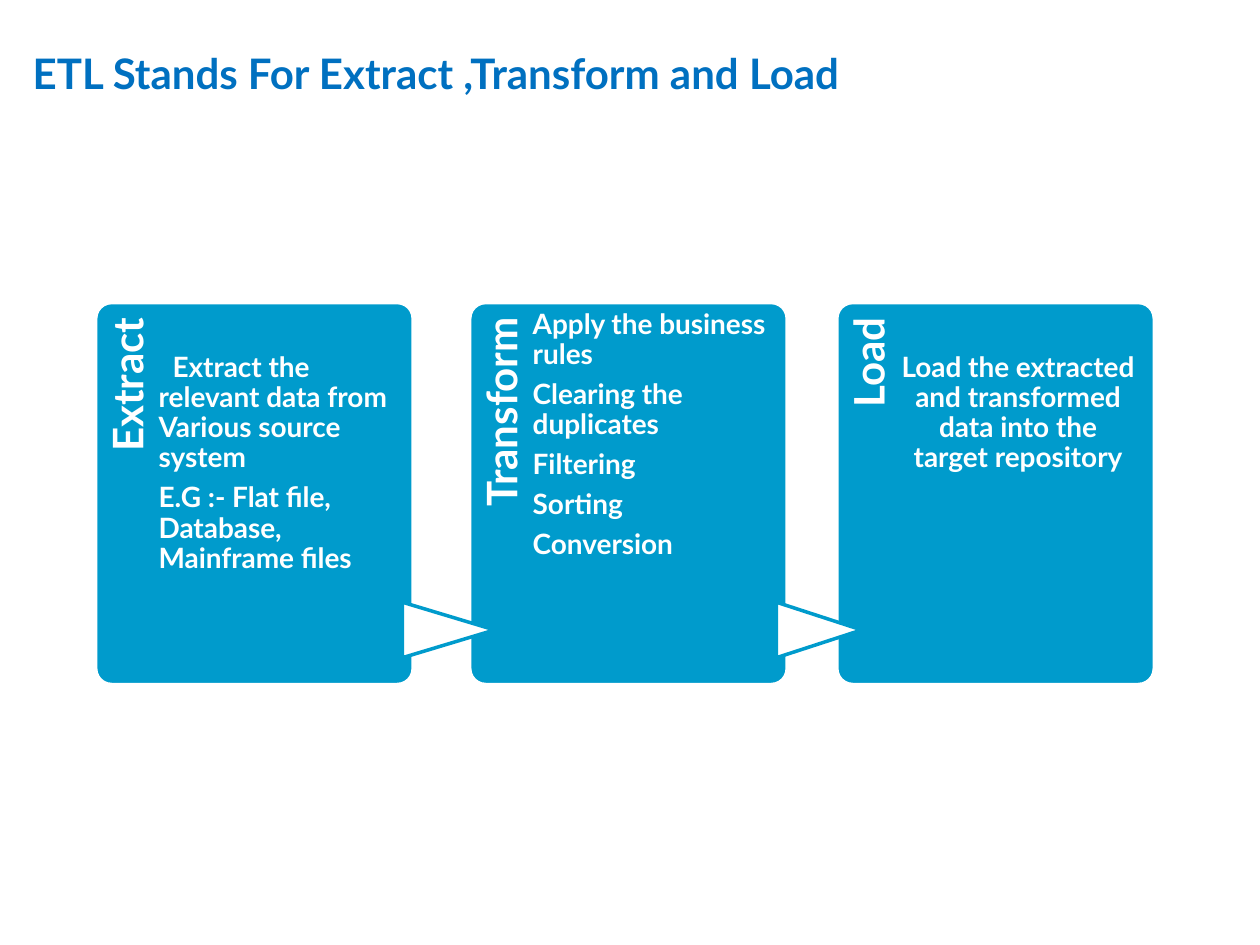
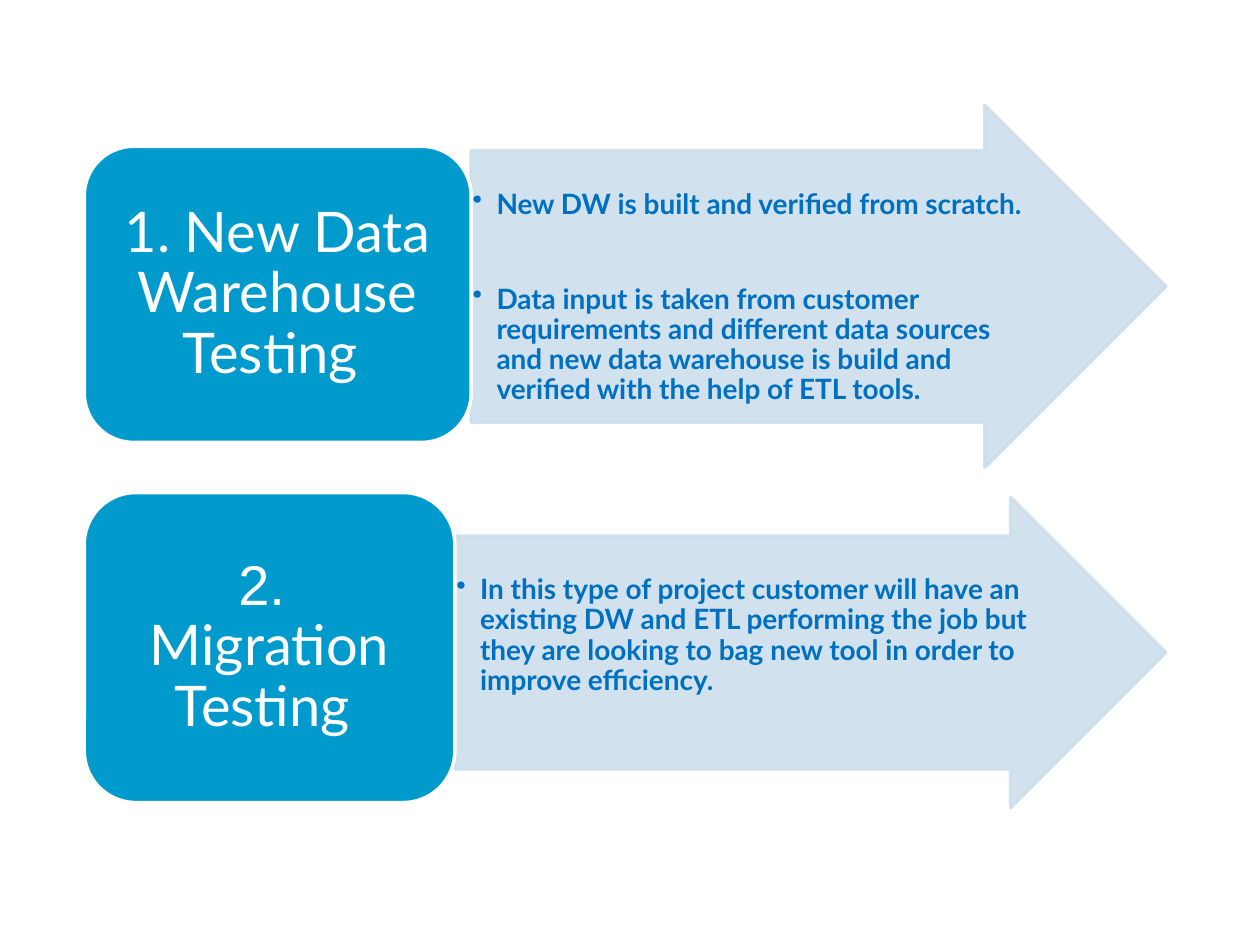
from lxml import etree
from pptx import Presentation
from pptx.dml.color import RGBColor
from pptx.enum.shapes import MSO_SHAPE
from pptx.enum.text import MSO_ANCHOR, PP_ALIGN
from pptx.oxml.ns import qn
from pptx.util import Cm, Pt

LEFT, CENTER, RIGHT = PP_ALIGN.LEFT, PP_ALIGN.CENTER, PP_ALIGN.RIGHT
TOP, MIDDLE, BOTTOM = MSO_ANCHOR.TOP, MSO_ANCHOR.MIDDLE, MSO_ANCHOR.BOTTOM
ROUNDED = MSO_SHAPE.ROUNDED_RECTANGLE
TRIANGLE = MSO_SHAPE.FLOWCHART_EXTRACT
RIGHT_ARROW = MSO_SHAPE.RIGHT_ARROW

WHITE = RGBColor(0xFF, 0xFF, 0xFF)
BLUE = RGBColor(0x00, 0x70, 0xC0)
CYAN = RGBColor(0x00, 0x9B, 0xCC)
PALE = RGBColor(0xCC, 0xDE, 0xEC)
FONT = "Lato"

PANEL_TOP, PANEL_WIDTH, PANEL_HEIGHT = 6.1, 6.4, 7.7
STRIP_WIDTH, STRIP_LENGTH = 1.27, 6.3
POINTER_CENTER, POINTER_HEIGHT = 12.7, 1.12
BLOCK_LEFT, ARROW_RIGHT = 1.7, 23.5

# left edge, label, body paragraphs, body format
STAGES = [
    (1.93, "Extract",
     ["Extract the relevant data from Various source system",
      "E.G :- Flat file, Database, Mainframe files"],
     dict(insets=(0, 1.02, 0, 0), first_indent=0.28)),
    (9.47, "Transform",
     ["Apply the business rules", "Clearing the duplicates",
      "Filtering", "Sorting", "Conversion"],
     dict(insets=(0, 0.15, 0, 0))),
    (16.87, "Load",
     ["Load the extracted and transformed data into the target repository"],
     dict(insets=(0, 1.02, 0, 0), align=CENTER)),
]

# block top and height, arrow left, top and height, block lines, bullets
PROJECT_TYPES = [
    (2.95, 5.97, 9.5, 2.13, 7.29,
     [("1. New Data Warehouse Testing ", FONT)],
     ["New DW is built and verified from scratch.",
      "Data input is taken from customer requirements and different data "
      "sources and new data warehouse is build and verified with the help "
      "of ETL tools."]),
    (9.93, 6.25, 9.17, 10.03, 6.25,
     [("2. ", "Arial"), ("Migration Testing ", FONT)],
     ["In this type of project customer will have an existing DW and ETL "
      "performing the job but they are looking to bag new tool in order to "
      "improve efficiency."]),
]


def write(frame, paragraphs, size=16, color=WHITE, bold=True, align=LEFT,
          anchor=TOP, insets=(0, 0, 0, 0), line_spacing=0.9, gap=5.6,
          first_indent=0, bullet=False):
    """Fill a frame; a paragraph is a string or a list of (line, font)."""
    frame.word_wrap = True
    frame.vertical_anchor = anchor
    (frame.margin_left, frame.margin_top,
     frame.margin_right, frame.margin_bottom) = map(Cm, insets)
    for index, lines in enumerate(paragraphs):
        paragraph = frame.add_paragraph() if index else frame.paragraphs[0]
        properties = paragraph._p.get_or_add_pPr()
        if bullet:
            properties.set("marL", str(Cm(0.48)))
            properties.set("indent", str(-Cm(0.48)))
            etree.SubElement(properties, qn("a:buChar")).set("char", "•")
        elif first_indent and not index:
            properties.set("indent", str(Cm(first_indent)))
        paragraph.alignment = align
        paragraph.line_spacing = line_spacing
        if index:
            paragraph.space_before = Pt(gap)
        if isinstance(lines, str):
            lines = [(lines, FONT)]
        for number, (line, font_name) in enumerate(lines):
            if number:
                paragraph.add_line_break()
            run = paragraph.add_run()
            run.text = line
            run.font.name = font_name
            run.font.size = Pt(size)
            run.font.bold = bold
            run.font.color.rgb = color


class Deck:
    def __init__(self):
        self.presentation = Presentation()
        self.presentation.slide_width = Cm(25.4)
        self.presentation.slide_height = Cm(19.05)
        self.slide = None

    def new_slide(self):
        blank = self.presentation.slide_layouts[6]
        self.slide = self.presentation.slides.add_slide(blank)

    def text(self, left, top, width, height, paragraphs, rotation=0, **style):
        box = self.slide.shapes.add_textbox(*map(Cm, (left, top, width, height)))
        box.rotation = rotation
        write(box.text_frame, paragraphs, **style)

    def shape(self, kind, left, top, width, height, fill, line,
              adjustments=(), rotation=0, opacity=None):
        shape = self.slide.shapes.add_shape(
            kind, *map(Cm, (left, top, width, height)))
        shape.shadow.inherit = False
        shape.rotation = rotation
        for index, value in enumerate(adjustments):
            shape.adjustments[index] = value
        shape.fill.solid()
        shape.fill.fore_color.rgb = fill
        shape.line.color.rgb = line
        shape.line.width = Pt(2)
        if opacity is not None:
            for color in shape._element.spPr.iter(qn("a:srgbClr")):
                alpha = etree.SubElement(color, qn("a:alpha"))
                alpha.set("val", str(opacity * 1000))
        return shape

    def title(self, text):
        self.text(0.66, 0.58, 24.2, 1.53, [text], size=24, color=BLUE,
                  anchor=BOTTOM, insets=(0, 0.13, 0.25, 0.13), line_spacing=1)

    def upright_label(self, left, top, text):
        """Write text from bottom to top, ending at the top of its strip."""
        shift = (STRIP_LENGTH - STRIP_WIDTH) / 2
        self.text(left - shift, top + shift, STRIP_LENGTH, STRIP_WIDTH, [text],
                  rotation=270, size=24, align=RIGHT, insets=(0, 0.23, 0.3, 0))

    def pointer(self, start, end):
        """Draw a triangle that points right from start to end."""
        length = end - start
        self.shape(TRIANGLE, (start + end - POINTER_HEIGHT) / 2,
                   POINTER_CENTER - length / 2, POINTER_HEIGHT, length,
                   WHITE, CYAN, rotation=90)


def build_stages(deck):
    deck.new_slide()
    deck.title("ETL Stands For Extract ,Transform and Load")
    previous_right = None
    for left, label, body, style in STAGES:
        deck.shape(ROUNDED, left, PANEL_TOP, PANEL_WIDTH, PANEL_HEIGHT,
                   CYAN, WHITE, adjustments=[0.05])
        deck.upright_label(left, PANEL_TOP, label)
        if previous_right is not None:
            deck.pointer(previous_right - 0.22, left + 0.5)
        deck.text(left + STRIP_WIDTH, PANEL_TOP, 4.77, PANEL_HEIGHT,
                  body, **style)
        previous_right = left + PANEL_WIDTH


def build_project_types(deck):
    deck.new_slide()
    for (block_top, block_height, arrow_left, arrow_top, arrow_height,
         heading, bullets) in PROJECT_TYPES:
        arrow = deck.shape(RIGHT_ARROW, arrow_left, arrow_top,
                           ARROW_RIGHT - arrow_left, arrow_height, PALE, PALE,
                           adjustments=[0.75, 0.5], opacity=90)
        write(arrow.text_frame, bullets, color=BLUE, bullet=True, gap=37,
              insets=(0.03, 0.79, 0.03, 0.03))
        block = deck.shape(ROUNDED, BLOCK_LEFT, block_top,
                           arrow_left - BLOCK_LEFT, block_height, CYAN, WHITE)
        write(block.text_frame, [heading], size=32, bold=False, align=CENTER,
              anchor=MIDDLE, insets=(0.33, 0.18, 0.33, 0.18))


def main():
    deck = Deck()
    build_stages(deck)
    build_project_types(deck)
    deck.presentation.save("out.pptx")


if __name__ == "__main__":
    main()
